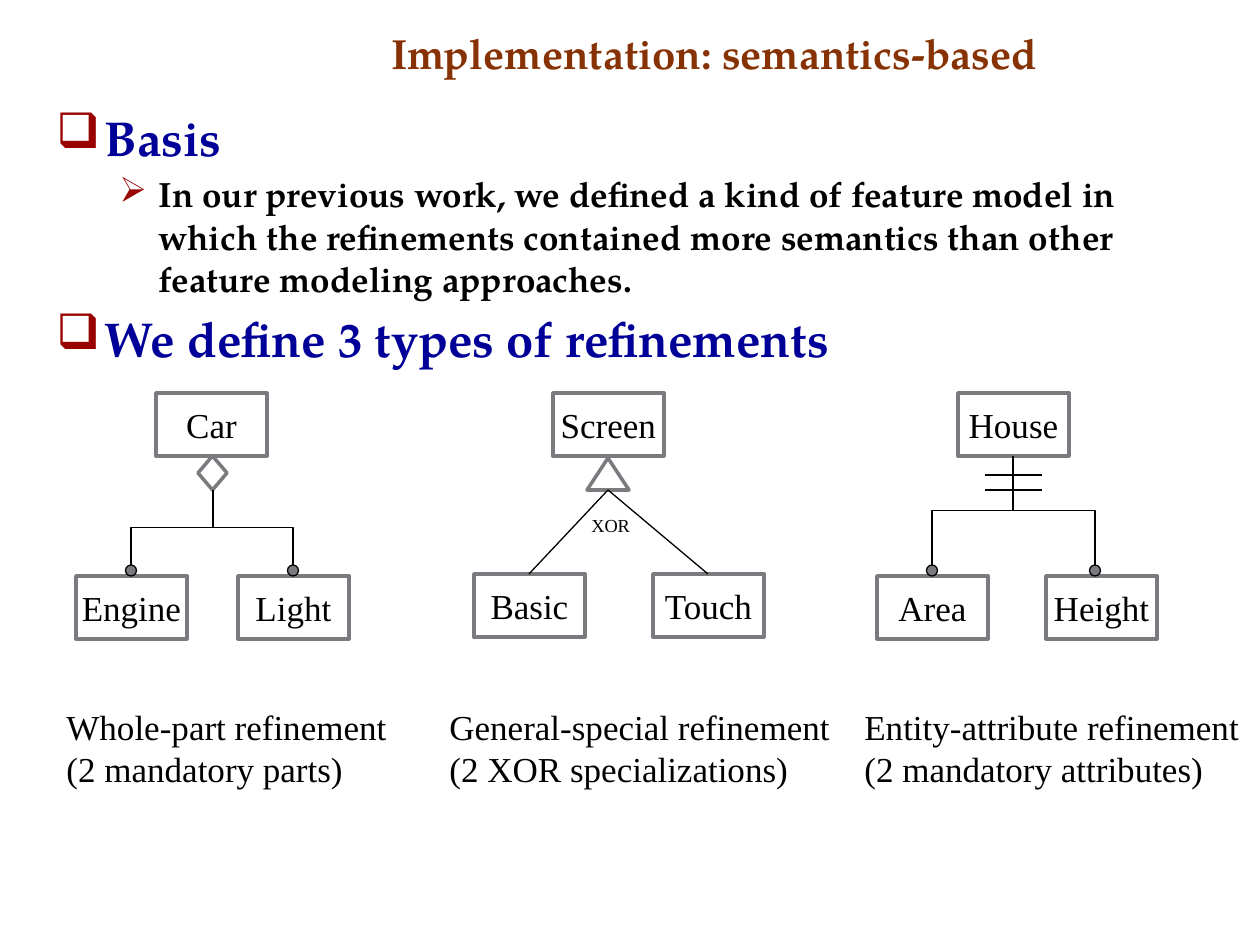
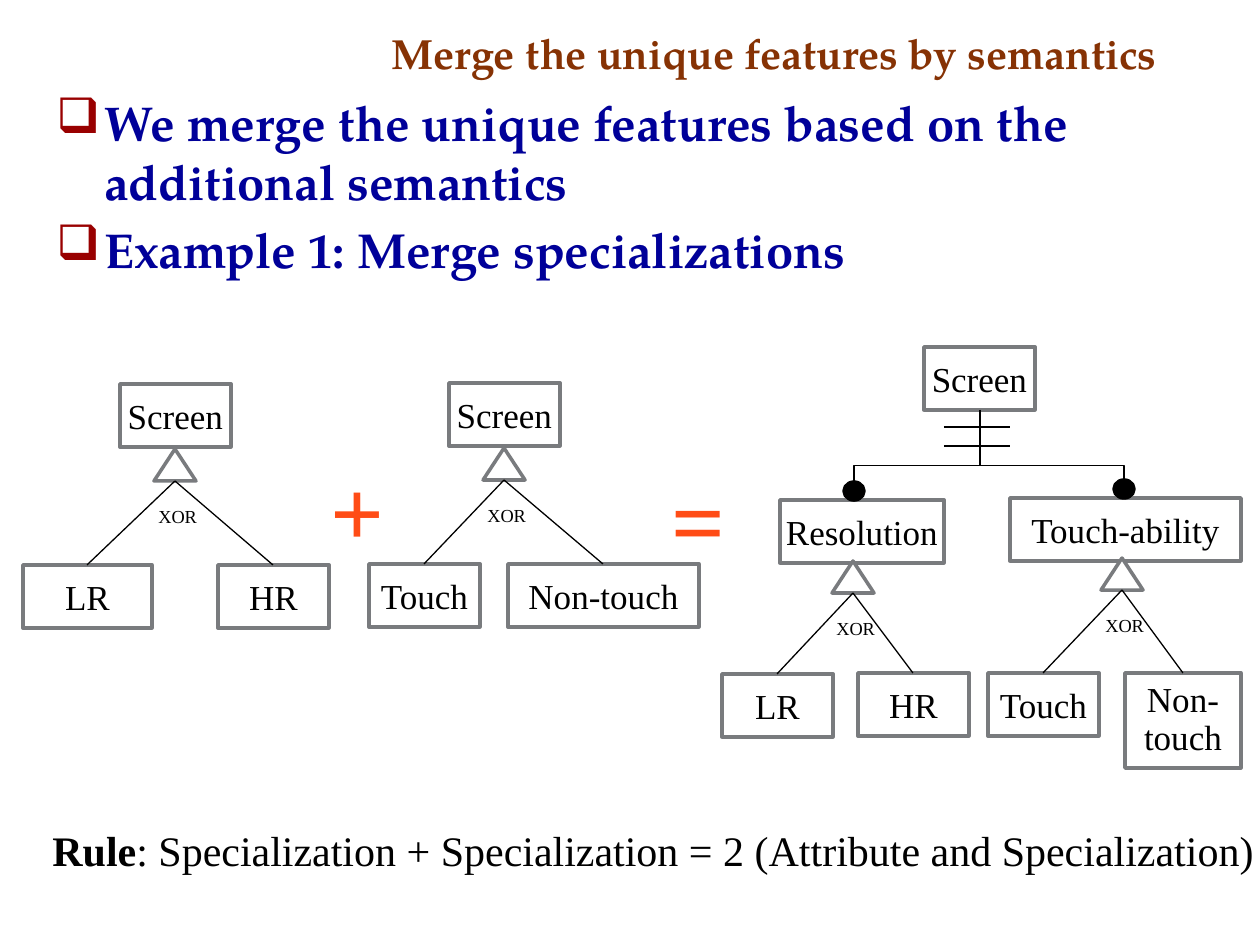
from collections import namedtuple
from dataclasses import dataclass

from pptx import Presentation
from pptx import util as u
from pptx.dml.color import RGBColor
from pptx.enum import shapes, text
from pptx.oxml.ns import qn
from lxml import etree

PX = u.Inches(1) / 126
HEAD_FONT, DIAGRAM_FONT = "TeX Gyre Pagella", "Times New Roman"
BROWN, NAVY, DARK_RED, ORANGE = "863204", "000099", "990000", "FF4C16"
BLACK, WHITE, GREY = "000000", "FFFFFF", "797B7E"

DotStyle = namedtuple("DotStyle", "width height fill weight")
SMALL_DOT = DotStyle(11, 11, GREY, 0.75)
LARGE_DOT = DotStyle(20, 18, BLACK, 2)

# Per outline level: bullet, size, colour, left margin and hanging indent in px
Level = namedtuple("Level", "bullet size color margin hanging")
LEVELS = [Level("❑", 28, NAVY, 48, 48), Level("➢", 20, BLACK, 102, 39)]


@dataclass
class Node:
    """A feature box, measured in px."""
    left: int
    top: int
    width: int
    height: int

    @property
    def axis(self):
        return self.left + self.width // 2

    @property
    def bottom(self):
        return self.top + self.height


def emu(*lengths):
    return [round(length * PX) for length in lengths]


def rgb(color):
    return RGBColor.from_string(color)


def add_span(para, words, size, color=BLACK, bold=False, font=DIAGRAM_FONT):
    span = para.add_run()
    span.text = words
    span.font.name = font
    span.font.size = u.Pt(size)
    span.font.bold = bold
    span.font.color.rgb = rgb(color)


def add_box(page, left, top, width, height, wrap=False):
    """Add an empty text box and return its text frame."""
    frame = page.shapes.add_textbox(*emu(left, top, width, height)).text_frame
    frame.word_wrap = wrap
    if not wrap:
        frame.auto_size = text.MSO_AUTO_SIZE.SHAPE_TO_FIT_TEXT
    return frame


def add_label(page, area, lines, size, color=BLACK, bold=False, align=None):
    frame = add_box(page, *area)
    for index, line in enumerate(lines):
        para = frame.add_paragraph() if index else frame.paragraphs[0]
        para.alignment = align
        add_span(para, line, size, color, bold)


def add_title(page, words):
    frame = add_box(page, 379, 21, 862, 63, wrap=True)
    frame.vertical_anchor = text.MSO_ANCHOR.BOTTOM
    add_span(frame.paragraphs[0], words, 24, BROWN, True, HEAD_FONT)


def add_bullet(para, level):
    properties = para._p.get_or_add_pPr()
    margin, hanging = emu(level.margin, level.hanging)
    properties.set("marL", str(margin))
    properties.set("indent", str(-hanging))
    tint = etree.SubElement(properties, qn("a:buClr"))
    etree.SubElement(tint, qn("a:srgbClr"), val=DARK_RED)
    etree.SubElement(properties, qn("a:buChar"), char=level.bullet)


def add_outline(page, top, items):
    """Add bulleted text from (level, words) pairs."""
    frame = add_box(page, 44, top, 1163, 819 - top, wrap=True)
    for index, (depth, words) in enumerate(items):
        para = frame.add_paragraph() if index else frame.paragraphs[0]
        level = LEVELS[depth]
        add_bullet(para, level)
        if index:
            para.space_before = u.Pt(level.size * 0.2)
        add_span(para, words, level.size, level.color, True, HEAD_FONT)


def add_figure(page, preset, area, fill=WHITE, line=GREY, weight=2):
    figure = page.shapes.add_shape(preset, *emu(*area))
    figure.shadow.inherit = False
    figure.fill.solid()
    figure.fill.fore_color.rgb = rgb(fill)
    figure.line.color.rgb = rgb(line)
    figure.line.width = u.Pt(weight)
    return figure


def add_node(page, left, top, label, width=111, height=63, wrap=False):
    node = Node(left, top, width, height)
    figure = add_figure(page, shapes.MSO_SHAPE.RECTANGLE, (left, top, width, height))
    frame = figure.text_frame
    frame.word_wrap = wrap
    frame.vertical_anchor = text.MSO_ANCHOR.MIDDLE
    para = frame.paragraphs[0]
    para.alignment = text.PP_ALIGN.CENTER
    if wrap:
        para.line_spacing = 0.9
    add_span(para, label, 20)
    return node


def add_line(page, start, end, kind=shapes.MSO_CONNECTOR.STRAIGHT):
    line = page.shapes.add_connector(kind, *emu(*start, *end))
    line.line.color.rgb = rgb(BLACK)
    line.line.width = u.Pt(0.75)
    etree.SubElement(line._element.spPr, qn("a:effectLst"))
    return line


def add_elbow(page, start, end, bend):
    """Connect down, across and down again; bend is the share of the first drop."""
    middle_x, middle_y = (start[0] + end[0]) / 2, (start[1] + end[1]) / 2
    half_width, half_height = abs(end[0] - start[0]) / 2, abs(end[1] - start[1]) / 2
    elbow = add_line(page, (middle_x - half_height, middle_y - half_width),
                     (middle_x + half_height, middle_y + half_width),
                     shapes.MSO_CONNECTOR.ELBOW)
    properties = elbow._element.spPr
    frame = properties.find(qn("a:xfrm"))
    rightward = end[0] > start[0]
    frame.set("rot", str((270 if rightward else 90) * 60000))
    if rightward:
        frame.set("flipH", "1")
    guides = properties.find(qn("a:prstGeom")).get_or_add_avLst()
    etree.SubElement(guides, qn("a:gd"), name="adj1", fmla=f"val {round(bend * 100000)}")


def add_mandatory(page, start, child, shift=0, bend=0.5, dot=SMALL_DOT):
    """Link a child to its parent, with a dot on the child's top edge."""
    axis, top = child.axis + shift, child.top - dot.height
    add_figure(page, shapes.MSO_SHAPE.OVAL,
               (axis - dot.width / 2, top, dot.width, dot.height),
               dot.fill, BLACK, dot.weight)
    add_elbow(page, start, (axis, top), bend)


def add_specialization(page, parent, children, shift=0, gap=2):
    """Draw the triangle under a parent, its XOR mark and lines to the children."""
    axis, top = parent.axis + shift, parent.bottom + gap
    add_figure(page, shapes.MSO_SHAPE.ISOSCELES_TRIANGLE, (axis - 21, top, 42, 32))
    for child in children:
        add_line(page, (axis, top + 32), (child.axis, child.top))
    add_label(page, (axis - 29, top + 50, 67, 37), ["XOR"], 10.5)


def add_bars(page, left, width, heights):
    """Draw the crossbars that mark an entity-attribute refinement."""
    for height in heights:
        add_line(page, (left, height), (left + width, height))


def build_refinements(page):
    add_title(page, "Implementation: semantics-based")
    add_outline(page, 101, [
        (0, "Basis"),
        (1, "In our previous work, we defined a kind of feature model in which the "
            "refinements contained more semantics than other feature modeling approaches."),
        (0, "We define 3 types of refinements"),
    ])

    car = add_node(page, 156, 393, "Car")
    add_figure(page, shapes.MSO_SHAPE.DIAMOND, (car.axis + 2 - 15, car.bottom, 29, 34))
    for left, label in [(76, "Engine"), (238, "Light")]:
        part = add_node(page, left, 576, label)
        add_mandatory(page, (car.axis + 2, car.bottom + 34), part)

    screen = add_node(page, 553, 393, "Screen")
    kinds = [add_node(page, left, 574, label)
             for left, label in [(474, "Basic"), (653, "Touch")]]
    add_specialization(page, screen, kinds)

    house = add_node(page, 958, 393, "House")
    for left, label, shift in [(877, "Area", 0), (1046, "Height", -6)]:
        attribute = add_node(page, left, 576, label)
        add_mandatory(page, (house.axis, house.bottom), attribute, shift)
    add_bars(page, 985, 57, (475, 490))

    captions = [
        (54, 348, "Whole-part refinement", "(2 mandatory parts)"),
        (437, 408, "General-special refinement", "(2 XOR specializations)"),
        (852, 402, "Entity-attribute refinement", "(2 mandatory attributes)"),
    ]
    for left, width, *lines in captions:
        add_label(page, (left, 699, width, 97), lines, 20)


def build_merge(page):
    add_title(page, "Merge the unique features by semantics")
    add_outline(page, 86, [
        (0, "We merge the unique features based on the additional semantics"),
        (0, "Example 1: Merge specializations"),
    ])
    for left, top, sign in [(318, 446, "+"), (659, 455, "=")]:
        add_label(page, (left, top, 79, 127), [sign], 54, ORANGE, True,
                  text.PP_ALIGN.CENTER)

    rule = add_box(page, 40, 818, 1232, 63).paragraphs[0]
    add_span(rule, "Rule", 24, bold=True)
    add_span(rule, ": Specialization + Specialization = 2 (Attribute and Specialization)", 24)

    by_resolution = add_node(page, 120, 384, "Screen")
    add_specialization(page, by_resolution, [
        add_node(page, 23, 565, "LR", 129), add_node(page, 218, 565, "HR")])

    by_touch = add_node(page, 449, 383, "Screen")
    add_specialization(page, by_touch, [
        add_node(page, 369, 564, "Touch"), add_node(page, 508, 564, "Non-touch", 191)])

    merged = add_node(page, 924, 347, "Screen")
    resolution = add_node(page, 780, 500, "Resolution", 164)
    touch_ability = add_node(page, 1010, 498, "Touch-ability", 231)
    add_bars(page, 944, 66, (427, 446))
    add_specialization(page, resolution, [
        add_node(page, 722, 674, "LR"), add_node(page, 858, 673, "HR")],
        shift=-9, gap=-2)
    add_specialization(page, touch_ability, [
        add_node(page, 988, 673, "Touch"),
        add_node(page, 1125, 673, "Non-touch", 116, 95, wrap=True)],
        shift=-3, gap=-3)
    trunk = (merged.axis + 1, merged.bottom)
    add_mandatory(page, trunk, resolution, -8, 0.77, LARGE_DOT)
    add_mandatory(page, trunk, touch_ability, -1, 0.79, LARGE_DOT)


def main():
    deck = Presentation()
    deck.slide_width, deck.slide_height = u.Inches(10), u.Inches(7.5)
    for build in (build_refinements, build_merge):
        build(deck.slides.add_slide(deck.slide_layouts[6]))
    deck.save("out.pptx")


if __name__ == "__main__":
    main()
